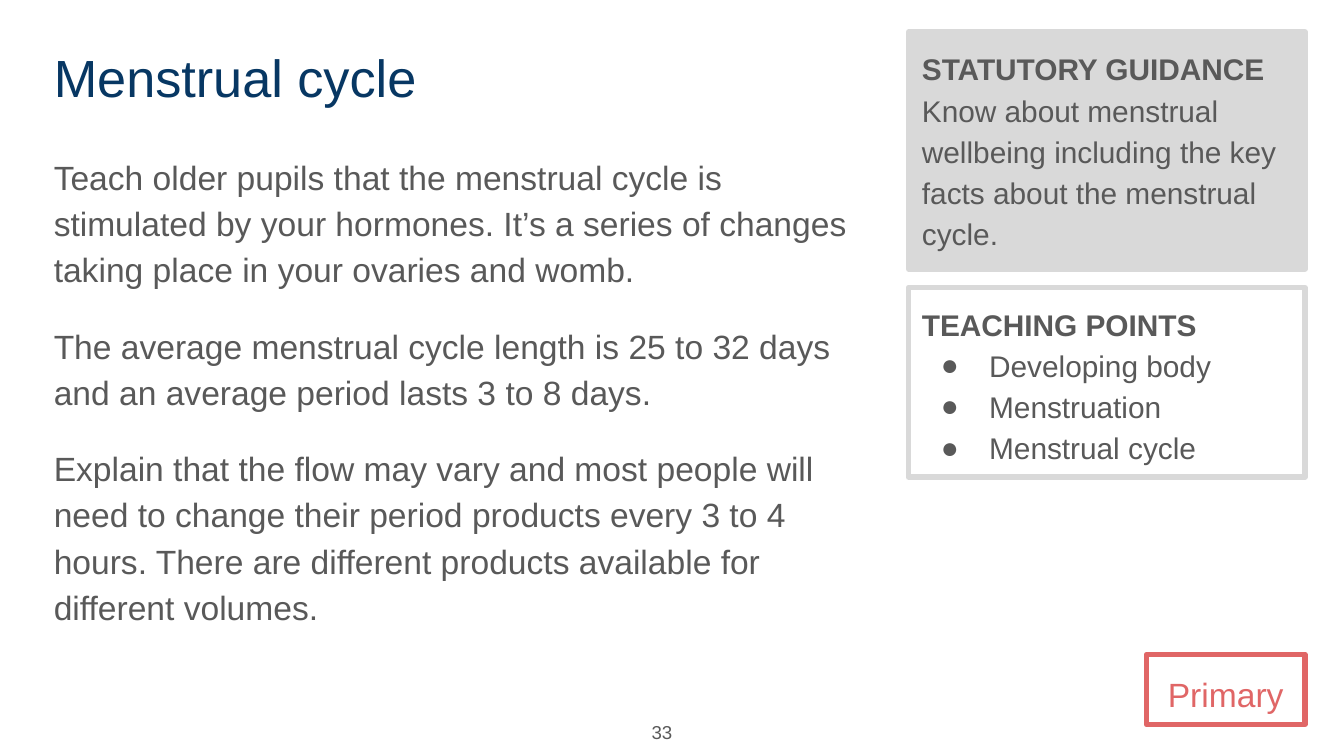
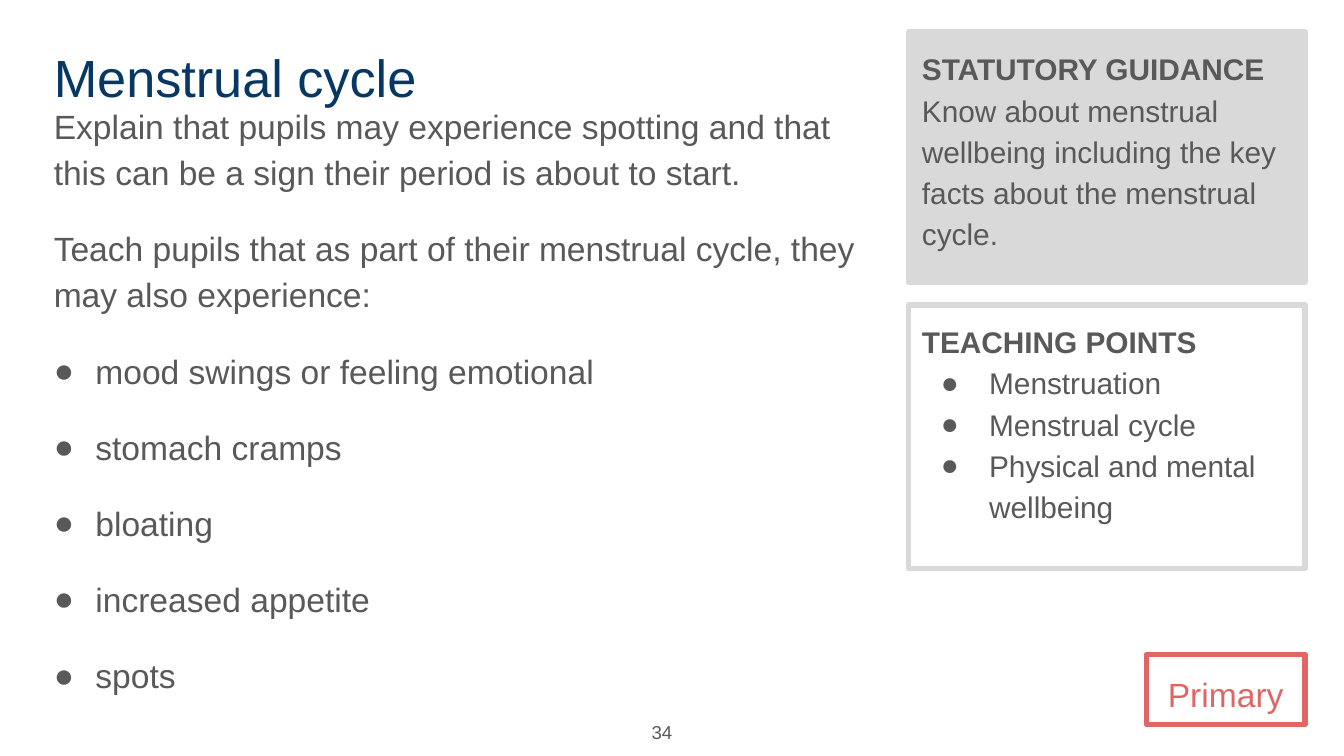
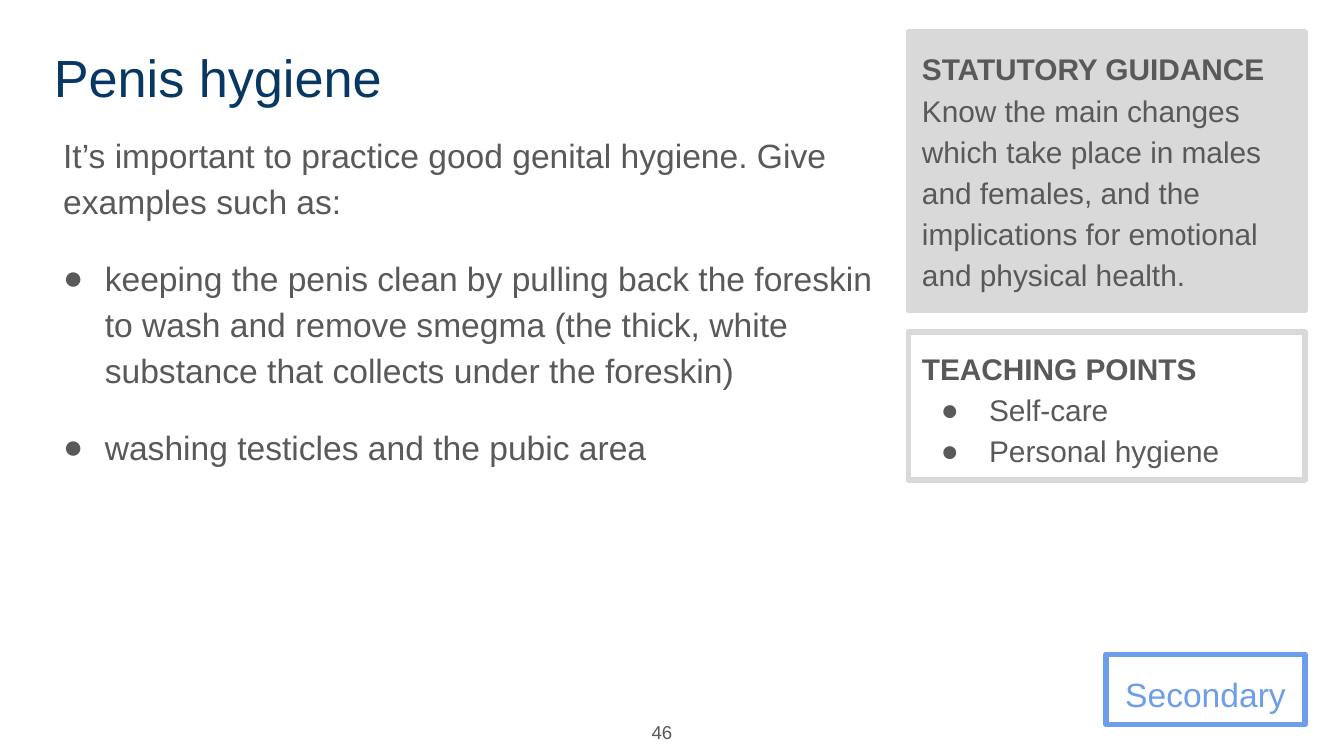
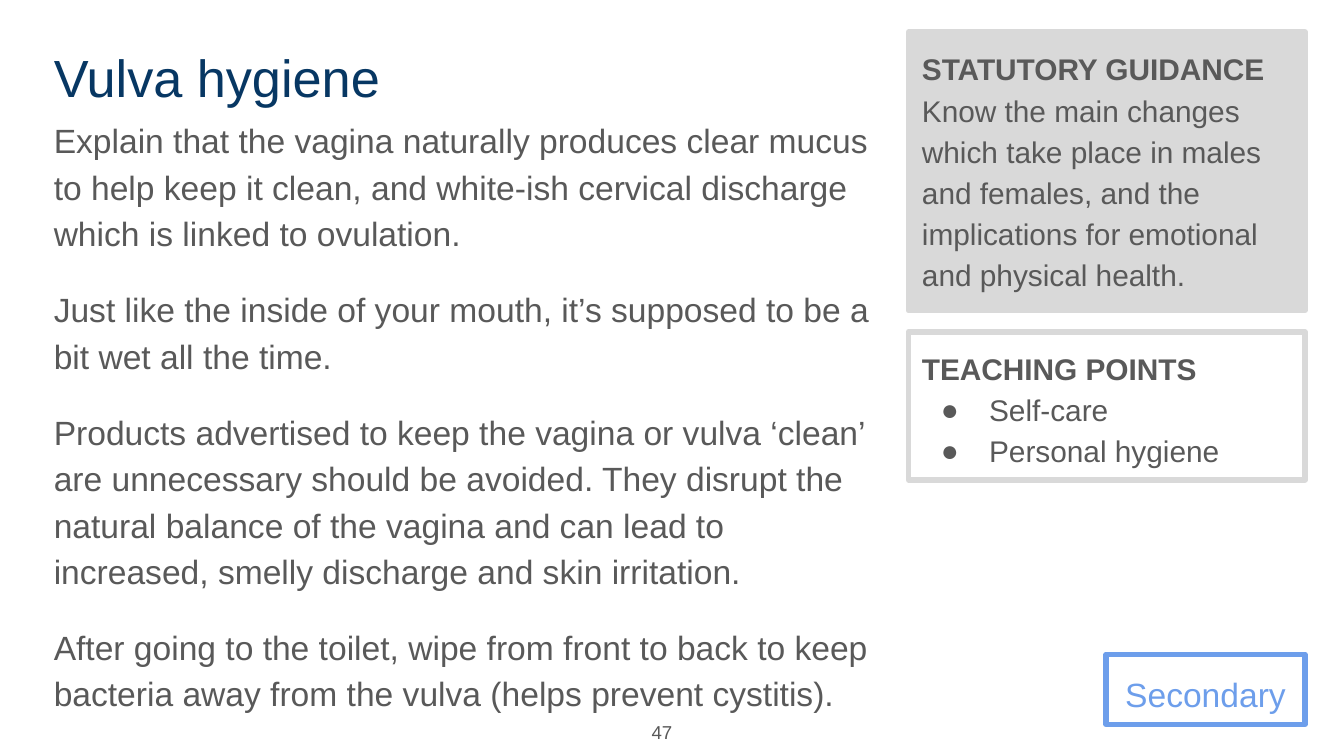
from copy import deepcopy

from lxml.etree import SubElement
from pptx import Presentation
from pptx.dml.color import RGBColor
from pptx.enum.text import MSO_ANCHOR as Anchor, MSO_AUTO_SIZE as AutoSize, PP_ALIGN as Align
from pptx.oxml.ns import qn
from pptx.util import Inches, Pt

FONT = "Arial"
COLORS = {"title": "073763", "text": "595959", "panel": "D9D9D9",
          "primary": "E06666", "secondary": "6D9EEB"}

# Comparison layout and the role of each of its placeholders
LAYOUT = 4
GUIDANCE, BODY, STAGE, POINTS = 1, 2, 3, 4

# Shared geometry, in inches
TOP = 0.24
LEFT = 0.3
PANEL_LEFT, PANEL_W = 6.76, 2.95
PANEL_RIGHT = PANEL_LEFT + PANEL_W
PAGE_RIGHT = 5.1
BODY_W = 6.32
BODY_INDENT, PANEL_INDENT = (0.31, -0.31), (0.5, -0.36)

STAGES = {
    "primary": {"label": "Primary", "width": 1.18, "title_w": 6.41, "page_w": 0.39},
    "secondary": {"label": "Secondary", "width": 1.48, "title_w": 6.6, "page_w": 0.51},
}

CYCLE_GUIDANCE = ("Know about menstrual wellbeing including the key facts "
                  "about the menstrual cycle.")
CHANGES_GUIDANCE = ("Know the main changes which take place in males and females, "
                    "and the implications for emotional and physical health.")
HYGIENE_POINTS = ["Self-care", "Personal hygiene"]

# body_box is left, top, height; points_box is top, height
SLIDES = [
    {"title": "Menstrual cycle", "page": 33, "stage": "primary",
     "body_box": (LEFT, 1.02, 4.04),
     "paragraphs": [
         "Teach older pupils that the menstrual cycle is stimulated by your hormones. "
         "It’s a series of changes taking place in your ovaries and womb.",
         "The average menstrual cycle length is 25 to 32 days and an average period "
         "lasts 3 to 8 days.",
         "Explain that the flow may vary and most people will need to change their "
         "period products every 3 to 4 hours. There are different products available "
         "for different volumes."],
     "bullets": [],
     "guidance": CYCLE_GUIDANCE, "guidance_h": 1.76,
     "points": ["Developing body", "Menstruation", "Menstrual cycle"],
     "points_box": (2.14, 1.41)},
    {"title": "Menstrual cycle", "page": 34, "stage": "primary",
     "body_box": (LEFT, 0.64, 3.59),
     "paragraphs": [
         "Explain that pupils may experience spotting and that this can be a sign "
         "their period is about to start.",
         "Teach pupils that as part of their menstrual cycle, they may also experience:"],
     "bullets": ["mood swings or feeling emotional", "stomach cramps", "bloating",
                 "increased appetite", "spots"],
     "guidance": CYCLE_GUIDANCE, "guidance_h": 1.86,
     "points": ["Menstruation", "Menstrual cycle", "Physical and mental wellbeing"],
     "points_box": (2.27, 1.96)},
    {"title": "Penis hygiene", "page": 46, "stage": "secondary",
     "body_box": (0.37, 0.86, 4.12),
     "paragraphs": [
         "It’s important to practice good genital hygiene. Give examples such as:"],
     "bullets": [
         "keeping the penis clean by pulling back the foreskin to wash and remove "
         "smegma (the thick, white substance that collects under the foreskin)",
         "washing testicles and the pubic area"],
     "guidance": CHANGES_GUIDANCE, "guidance_h": 2.07,
     "points": HYGIENE_POINTS, "points_box": (2.47, 1.1)},
    {"title": "Vulva hygiene", "page": 47, "stage": "secondary",
     "body_box": (LEFT, 0.75, 4.12),
     "paragraphs": [
         "Explain that the vagina naturally produces clear mucus to help keep it clean, "
         "and white-ish cervical discharge which is linked to ovulation.",
         "Just like the inside of your mouth, it’s supposed to be a bit wet all the time.",
         "Products advertised to keep the vagina or vulva ‘clean’ are unnecessary should "
         "be avoided. They disrupt the natural balance of the vagina and can lead to "
         "increased, smelly discharge and skin irritation.",
         "After going to the toilet, wipe from front to back to keep bacteria away from "
         "the vulva (helps prevent cystitis)."],
     "bullets": [],
     "guidance": CHANGES_GUIDANCE, "guidance_h": 2.07,
     "points": HYGIENE_POINTS, "points_box": (2.47, 1.1)},
]


def rgb(name):
    return RGBColor.from_string(COLORS[name])


def place(sp, box, anchor=Anchor.TOP):
    """Move a shape to its box and give its text frame even margins."""
    sp.left, sp.top, sp.width, sp.height = (Inches(v) for v in box)
    tf = sp.text_frame
    tf.word_wrap = True
    tf.auto_size = AutoSize.NONE
    tf.vertical_anchor = anchor
    tf.margin_left = tf.margin_right = tf.margin_top = tf.margin_bottom = Inches(0.1)
    return tf


def outline(sp, color):
    sp.line.color.rgb = rgb(color)
    sp.line.width = Pt(3)


def set_bullet(p, indent=None):
    """Give a paragraph a round bullet with a hanging indent, or no bullet."""
    pPr = p._p.get_or_add_pPr()
    left, hang = indent or (0, 0)
    pPr.set("marL", str(Inches(left)))
    pPr.set("indent", str(Inches(hang)))
    if indent:
        clr = SubElement(pPr, qn("a:buClr"))
        SubElement(clr, qn("a:srgbClr")).set("val", COLORS["text"])
        SubElement(pPr, qn("a:buChar")).set("char", "●")
    else:
        SubElement(pPr, qn("a:buNone"))


def format_paragraph(p, size, color="text", align=Align.LEFT, spacing=1.15,
                     before=0, indent=None):
    p.alignment = align
    p.line_spacing = spacing
    p.space_before = Pt(before)
    p.space_after = Pt(0)
    set_bullet(p, indent)
    for r in p.runs:
        r.font.name = FONT
        r.font.size = Pt(size)
        r.font.bold = False
        r.font.color.rgb = rgb(color)
    # Line breaks take the format of the first run
    for br in p._p.findall(qn("a:br")):
        br.append(deepcopy(p.runs[0].font._element))


def add_title(slide, text, box):
    tf = place(slide.shapes.title, box)
    tf.text = text
    format_paragraph(tf.paragraphs[0], 28, "title", spacing=1.0)


def add_body(sp, paragraphs, bullets, box):
    tf = place(sp, box)
    tf.text = "\n".join(paragraphs + bullets)
    for i, p in enumerate(tf.paragraphs):
        indent = BODY_INDENT if i >= len(paragraphs) else None
        format_paragraph(p, 18, before=16, indent=indent)


def add_guidance(sp, text, box):
    tf = place(sp, box)
    sp.fill.solid()
    sp.fill.fore_color.rgb = rgb("panel")
    outline(sp, "panel")
    p = tf.paragraphs[0]
    p.text = "STATUTORY GUIDANCE\v" + text
    format_paragraph(p, 16)
    p.runs[0].font.bold = True


def add_points(sp, points, box):
    tf = place(sp, box)
    outline(sp, "panel")
    tf.text = "\n".join(["TEACHING POINTS"] + points)
    for i, p in enumerate(tf.paragraphs):
        format_paragraph(p, 16, indent=PANEL_INDENT if i else None)
    tf.paragraphs[0].runs[0].font.bold = True


def add_stage(sp, label, color, box):
    tf = place(sp, box)
    outline(sp, color)
    tf.text = label
    format_paragraph(tf.paragraphs[0], 18, color, Align.CENTER)


def add_page_number(slide, number, box):
    sp = slide.shapes.add_textbox(0, 0, 0, 0)
    tf = place(sp, box, Anchor.MIDDLE)
    tf.text = str(number)
    format_paragraph(tf.paragraphs[0], 10, align=Align.RIGHT, spacing=1.0)


def add_lesson(prs, d):
    slide = prs.slides.add_slide(prs.slide_layouts[LAYOUT])
    ph = {sp.placeholder_format.idx: sp for sp in slide.placeholders}
    stage = STAGES[d["stage"]]
    body_left, body_top, body_h = d["body_box"]
    points_top, points_h = d["points_box"]

    # Main column
    add_title(slide, d["title"], (LEFT, TOP, stage["title_w"], 0.63))
    add_body(ph[BODY], d["paragraphs"], d["bullets"],
             (body_left, body_top, BODY_W, body_h))

    # Side panels
    add_guidance(ph[GUIDANCE], d["guidance"], (PANEL_LEFT, TOP, PANEL_W, d["guidance_h"]))
    add_points(ph[POINTS], d["points"], (PANEL_LEFT, points_top, PANEL_W, points_h))

    # Footer
    add_stage(ph[STAGE], stage["label"], d["stage"],
              (PANEL_RIGHT - stage["width"], 4.87, stage["width"], 0.52))
    add_page_number(slide, d["page"],
                    (PAGE_RIGHT - stage["page_w"], 5.26, stage["page_w"], 0.37))


def main():
    prs = Presentation()
    # Widescreen, 16:9
    prs.slide_width = Inches(10)
    prs.slide_height = Inches(10) * 9 // 16
    for d in SLIDES:
        add_lesson(prs, d)
    prs.save("out.pptx")


if __name__ == "__main__":
    main()
